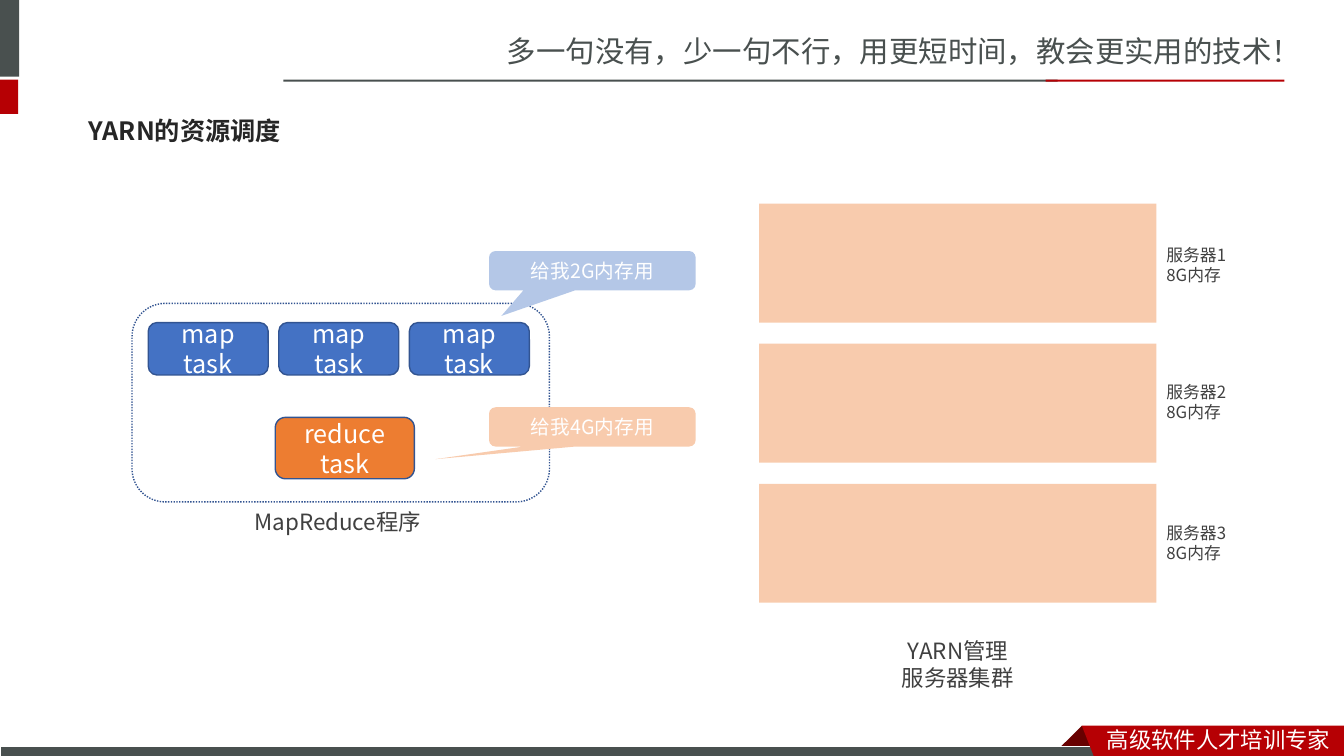
"""Build the slide on how YARN shares out server memory."""
from lxml import etree
from pptx import Presentation, util as u
from pptx.dml.color import RGBColor
from pptx.enum import dml, shapes, text
from pptx.oxml.ns import qn

HUES = {"grey": "49504F", "red": "B60004", "dark": "680000", "white": "FFFFFF",
        "head": "262626", "body": "404040", "blue": "4472C4", "edge": "325491",
        "orange": "ED7D31", "pale": "B4C7E7", "peach": "F8CBAD"}
SANS = "Noto Sans CJK SC"
ALT = "Noto Sans CJK JP"
KIND = shapes.MSO_SHAPE
LEFT, MID = text.PP_ALIGN.LEFT, text.PP_ALIGN.CENTER


def hue(name):
    """Return the named colour."""
    return RGBColor.from_string(HUES[name])


def write(item, lines, size, tint, font=SANS, align=LEFT, bold=False):
    """Fill a shape with one paragraph per line."""
    frame = item.text_frame
    frame.word_wrap = True
    for i, line in enumerate(lines):
        para = frame.paragraphs[0] if i == 0 else frame.add_paragraph()
        para.alignment = align
        run = para.add_run()
        run.text = line
        run.font.size = u.Pt(size)
        run.font.bold = bold
        run.font.name = font
        run.font.color.rgb = hue(tint)
        east = etree.SubElement(run.font._element, qn("a:ea"))
        east.set("typeface", font)
    return frame


def label(slide, box, lines, size, tint, **style):
    """Add a text box."""
    item = slide.shapes.add_textbox(*map(u.Inches, box))
    return write(item, lines, size, tint, **style)


def paint(item, fill, edge=None, width=1):
    """Set the fill and outline of a shape."""
    item.shadow.inherit = False
    if fill:
        item.fill.solid()
        item.fill.fore_color.rgb = hue(fill)
    else:
        item.fill.background()
    if edge:
        item.line.color.rgb = hue(edge)
        item.line.width = u.Pt(width)
    else:
        item.line.fill.background()
    return item


def block(slide, box, fill, kind=KIND.RECTANGLE, edge=None, width=1):
    """Add a painted preset shape."""
    item = slide.shapes.add_shape(kind, *map(u.Inches, box))
    return paint(item, fill, edge, width)


def shard(slide, points, fill):
    """Add a closed polygon."""
    spots = [(u.Inches(x), u.Inches(y)) for x, y in points]
    build = slide.shapes.build_freeform(*spots[0])
    build.add_line_segments(spots[1:], close=True)
    paint(build.convert_to_shape(), fill)


def header(slide, box):
    """Draw the side marks, slogan and two-colour rule."""
    x, y, w, h = box
    block(slide, (x, y, 0.19, 0.76), "grey")
    block(slide, (x, y + h, 0.18, 0.34), "red")
    label(slide, (x + 4.93, y + 0.28, w - 4.93, 0.45),
          ["多一句没有，少一句不行，用更短时间，教会更实用的技术！"], 21, "grey")
    block(slide, (x + 2.81, y + h, 7.68, 0.02), "grey")
    block(slide, (x + 10.37, y + h, 2.37, 0.02), "red")


def footer(slide, box):
    """Draw the bottom bar and the folded red ribbon."""
    x, y, w, h = box
    fold, end = x + 10.73, x + w
    shard(slide, [(fold, y), (fold + 0.22, y + 0.22), (fold + 0.21, y + 0.23),
                  (fold - 0.21, y + 0.23), (fold - 0.22, y + 0.22)], "dark")
    block(slide, (x, y + 0.21, 10.99, 0.12), "grey", edge="white", width=0.75)
    shard(slide, [(fold, y), (end, y), (end, y + h),
                  (fold + 0.13, y + h)], "red")
    label(slide, (fold + 0.15, y - 0.05, end - fold - 0.15, 0.37),
          ["高级软件人才培训专家"], 16, "white")


def title(slide, box):
    """Write the slide title."""
    frame = label(slide, box, ["YARN的资源调度"], 18, "head", font=ALT, bold=True)
    frame.vertical_anchor = text.MSO_ANCHOR.MIDDLE
    frame.paragraphs[0].line_spacing = 0.9


def task(slide, box, name, fill):
    """Draw one rounded task."""
    item = block(slide, box, fill, KIND.ROUNDED_RECTANGLE, "edge")
    frame = write(item, [name], 18, "white", align=MID)
    frame.vertical_anchor = text.MSO_ANCHOR.MIDDLE


def speech(slide, box, words, fill, tip):
    """Draw a callout whose tail ends at the tip."""
    item = block(slide, box, fill, KIND.ROUNDED_RECTANGULAR_CALLOUT)
    item.adjustments[0], item.adjustments[1] = tip
    frame = write(item, [words], 14, "white", align=MID)
    frame.vertical_anchor = text.MSO_ANCHOR.MIDDLE


def program(slide, box):
    """Draw the MapReduce program with its tasks and requests."""
    x, y, w, h = box
    frame = block(slide, box, None, KIND.ROUNDED_RECTANGLE, "edge")
    frame.line.dash_style = dml.MSO_LINE.ROUND_DOT
    label(slide, (x + 0.58, y + h + 0.01, 2.92, 0.37), ["MapReduce程序"],
          16, "body", font=ALT, align=MID)
    for i in range(3):
        task(slide, (x + 0.16 + 1.295 * i, y + 0.19, 1.19, 0.52),
             "map task", "blue")
    task(slide, (x + 1.42, y + 1.13, 1.38, 0.61), "reduce task", "orange")
    asks = [(-0.52, "给我2G内存用", "pale", (-0.44, 1.15)),
            (1.03, "给我4G内存用", "peach", (-0.76, 0.82))]
    for drop, words, fill, tip in asks:
        speech(slide, (x + 3.54, y + drop, 2.05, 0.39), words, fill, tip)


def cluster(slide, box):
    """Draw the stacked servers, their labels and the caption."""
    x, y, w, h = box
    tall = 1.18
    step = (h - tall) / 2
    for i, drop in enumerate((0.36, 1.72, 3.12)):
        block(slide, (x, y + step * i, w, tall), "peach")
        label(slide, (x + w, y + drop, 1.8, 0.5),
              [f"服务器{i + 1}", "8G内存"], 12, "body", font=ALT)
    label(slide, (x - 0.25, y + h + 0.29, w + 0.5, 0.64),
          ["YARN管理", "服务器集群"], 16, "body", font=ALT, align=MID)


def main():
    """Build and save the deck."""
    deck = Presentation()
    deck.slide_width, deck.slide_height = u.Inches(13.33), u.Inches(7.5)
    slide = deck.slides.add_slide(deck.slide_layouts[6])
    header(slide, (0, 0, 13.33, 0.79))
    footer(slide, (0, 7.2, 13.33, 0.33))
    title(slide, (0.78, 1.03, 11.7, 0.57))
    program(slide, (1.31, 3.01, 4.14, 1.97))
    cluster(slide, (7.53, 2.02, 3.94, 3.96))
    deck.save("out.pptx")


if __name__ == "__main__":
    main()
